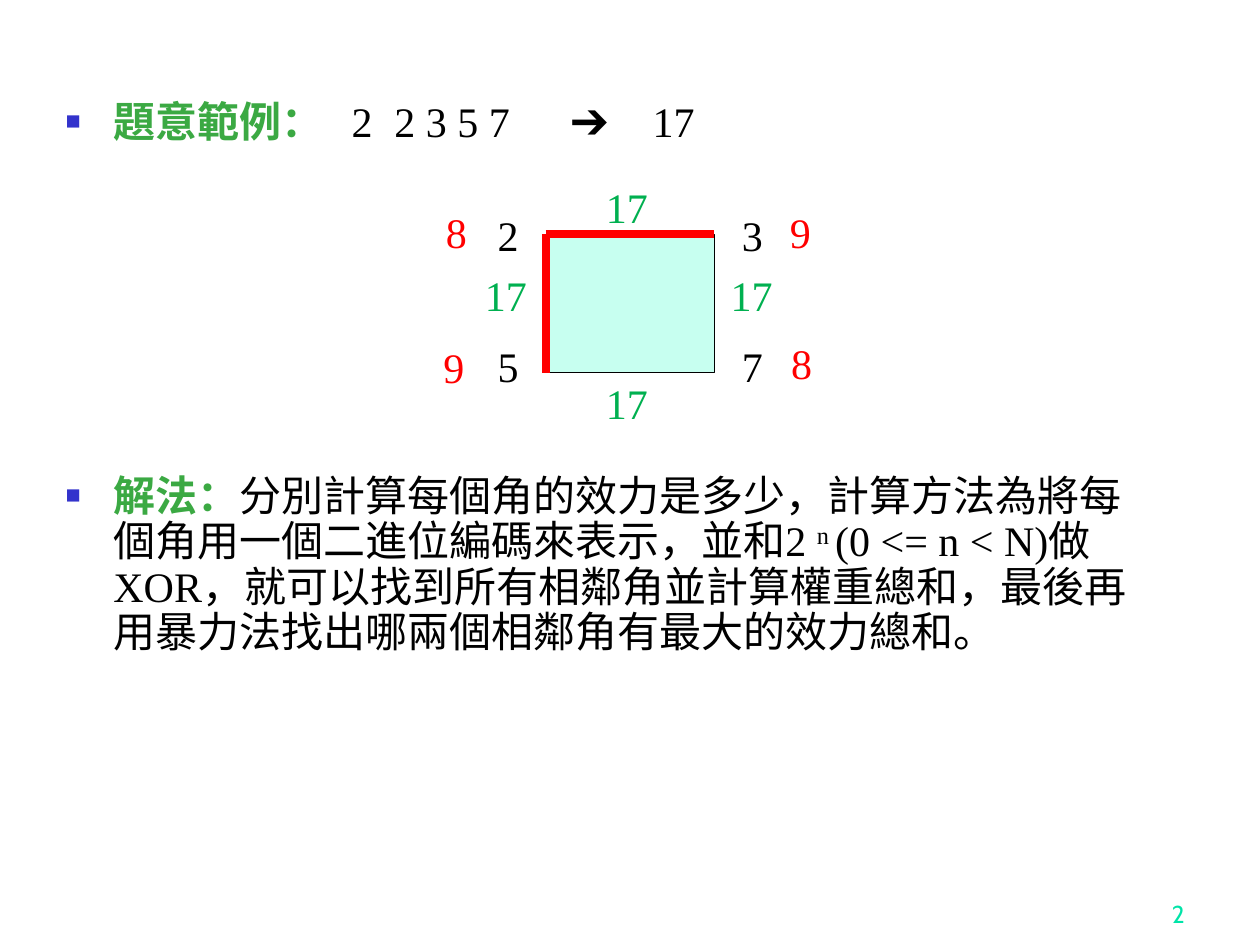
from dataclasses import dataclass

from lxml import etree
from pptx import Presentation
from pptx.dml.color import RGBColor
from pptx.enum.shapes import MSO_CONNECTOR, MSO_SHAPE
from pptx.enum.text import MSO_ANCHOR, MSO_AUTO_SIZE, PP_ALIGN
from pptx.oxml.ns import qn
from pptx.util import Inches, Pt

LINE = MSO_CONNECTOR.STRAIGHT
RECT = MSO_SHAPE.RECTANGLE
BOTTOM = MSO_ANCHOR.BOTTOM
NO_FIT = MSO_AUTO_SIZE.NONE
LEFT = PP_ALIGN.LEFT
RIGHT = PP_ALIGN.RIGHT


@dataclass(frozen=True)
class Theme:
    font: str = "Times New Roman"
    page_font: str = "Cabin"
    size: int = 24
    page_size: int = 14
    ink: str = "000000"
    head: str = "3BA943"
    bullet: str = "3333CC"
    fill: str = "C7FFF0"
    score: str = "FF0000"
    total: str = "00B050"
    page: str = "00E4A8"


THEME = Theme()


def rgb(code):
    return RGBColor.from_string(code)


def apply(item, values):
    for name, value in values.items():
        setattr(item, name, value)


def add_run(para, text, color, bold=False, size=THEME.size, font=THEME.font):
    run = para.add_run()
    run.text = text
    apply(run.font, {"name": font, "size": Pt(size), "bold": bold})
    run.font.color.rgb = rgb(color)
    return run


def add_tag(parent, tag, **values):
    return etree.SubElement(parent, qn(tag), values)


def add_bullet(para, tabs):
    props = para._p.get_or_add_pPr()
    props.set("marL", str(Inches(0.38)))
    props.set("indent", str(-Inches(0.38)))
    color = add_tag(props, "a:buClr")
    add_tag(color, "a:srgbClr", val=THEME.bullet)
    add_tag(props, "a:buSzPct", val="60000")
    add_tag(props, "a:buFont", typeface=THEME.font)
    add_tag(props, "a:buChar", char="■")
    if tabs:
        stops = add_tag(props, "a:tabLst")
        for stop in tabs:
            add_tag(stops, "a:tab", pos=str(Inches(stop)), algn="l")


def add_item(para, head, parts, gap=0, tabs=()):
    apply(para, {"line_spacing": 0.9, "space_before": Pt(gap),
                 "space_after": Pt(0), "alignment": LEFT})
    add_bullet(para, tabs)
    add_run(para, head, THEME.head, True)
    for text, raised in parts:
        run = add_run(para, text, THEME.ink)
        if raised:
            run._r.get_or_add_rPr().set("baseline", "30000")


def add_body(slide, left, top, width, height):
    body = slide.placeholders[1]
    apply(body, {"left": Inches(left), "top": Inches(top),
                 "width": Inches(width), "height": Inches(height)})
    frame = body.text_frame
    apply(frame, {"word_wrap": True, "auto_size": NO_FIT})
    add_item(frame.paragraphs[0], "題意範例：",
             [("\t2\t2 3 5 7\t➔\t17", False)],
             tabs=(2.27, 2.61, 4.01, 4.66))
    add_item(frame.add_paragraph(), "解法：", [
        ("分別計算每個角的效力是多少，計算方法為將每個角用一個二進位編碼來表示，並和2 ", False),
        ("n ", True),
        ("(0 <= n < N)做XOR，就可以找到所有相鄰角並計算權重總和，"
         "最後再用暴力法找出哪兩個相鄰角有最大的效力總和。", False),
    ], gap=188)


def add_label(slide, text, left, top, width, color):
    box = slide.shapes.add_textbox(
        Inches(left), Inches(top), Inches(width), Inches(0.5))
    box.text_frame.word_wrap = True
    add_run(box.text_frame.paragraphs[0], text, color)


def add_edge(slide, left, top, right, low):
    edge = slide.shapes.add_connector(
        LINE, Inches(left), Inches(top), Inches(right), Inches(low))
    edge.line.color.rgb = rgb(THEME.score)
    edge.line.width = Pt(4.5)
    add_tag(edge._element.spPr, "a:effectLst")


def add_square(slide, left, top, width, height):
    square = slide.shapes.add_shape(
        RECT, Inches(left), Inches(top), Inches(width), Inches(height))
    square.shadow.inherit = False
    square.fill.solid()
    square.fill.fore_color.rgb = rgb(THEME.fill)
    square.line.color.rgb = rgb(THEME.ink)
    square.line.width = Pt(0.75)
    add_edge(slide, left, top, left + width, top)
    add_edge(slide, left, top, left, top + height)

    groups = (
        (THEME.ink, 0.38, (("2", -0.48, -0.25), ("3", 1.46, -0.25),
                           ("5", -0.48, 0.79), ("7", 1.46, 0.79))),
        (THEME.score, 0.58, (("8", -0.89, -0.27), ("9", 1.84, -0.27),
                             ("9", -0.91, 0.8), ("8", 1.85, 0.77))),
        (THEME.total, 0.58, (("17", 0.38, -0.47), ("17", -0.58, 0.23),
                             ("17", 0.38, 1.09), ("17", 1.37, 0.23))),
    )
    for color, wide, labels in groups:
        for text, across, down in labels:
            add_label(slide, text, left + across, top + down, wide, color)


def add_page(slide, left, top, width, height):
    box = slide.shapes.add_textbox(
        Inches(left), Inches(top), Inches(width), Inches(height))
    apply(box.text_frame, {"word_wrap": True, "vertical_anchor": BOTTOM})
    para = box.text_frame.paragraphs[0]
    para.alignment = RIGHT
    add_run(para, "2", THEME.page, size=THEME.page_size, font=THEME.page_font)


def main():
    deck = Presentation()
    apply(deck, {"slide_width": Inches(10), "slide_height": Inches(7.5)})
    slide = deck.slides.add_slide(deck.slide_layouts[1])
    title = slide.shapes.title._element
    title.getparent().remove(title)
    add_page(slide, 7.42, 6.92, 2.08, 0.5)
    add_body(slide, 0.42, 0.75, 8.83, 6.15)
    add_square(slide, 4.33, 1.86, 1.34, 1.1)
    deck.save("out.pptx")


if __name__ == "__main__":
    main()
